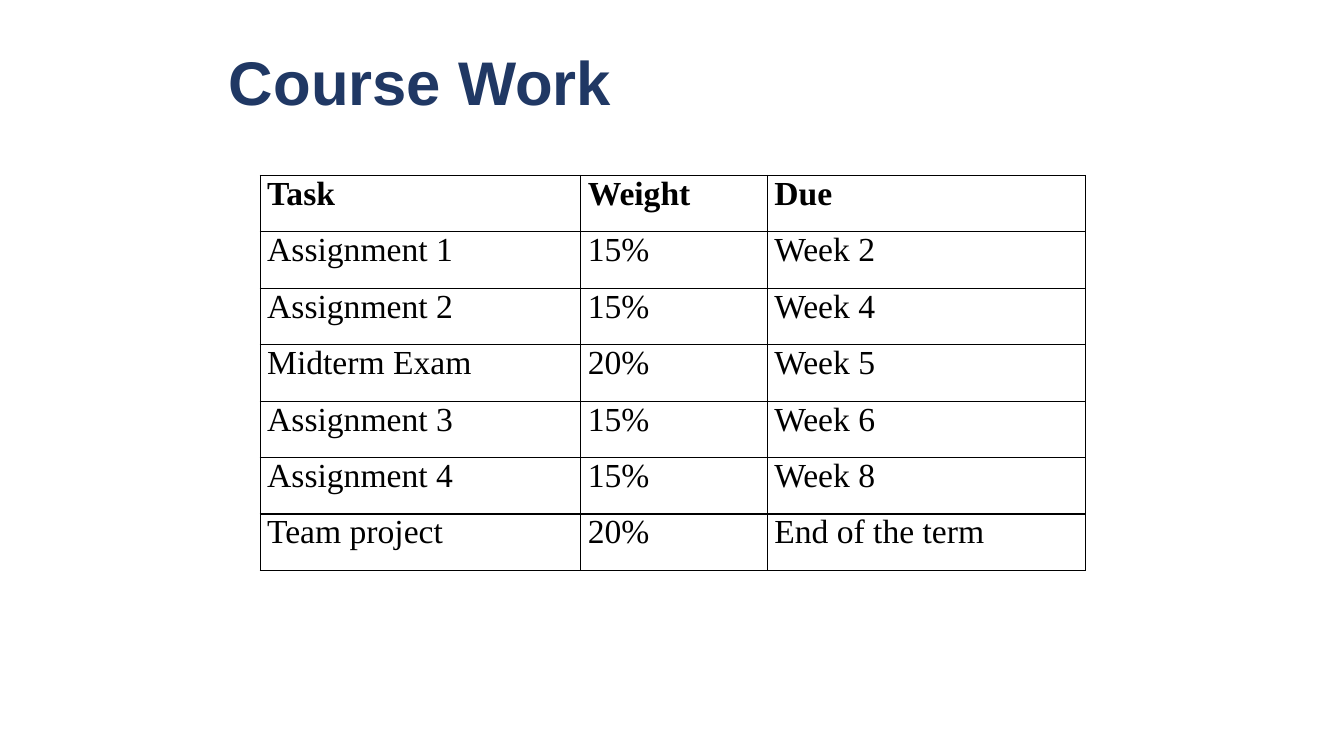
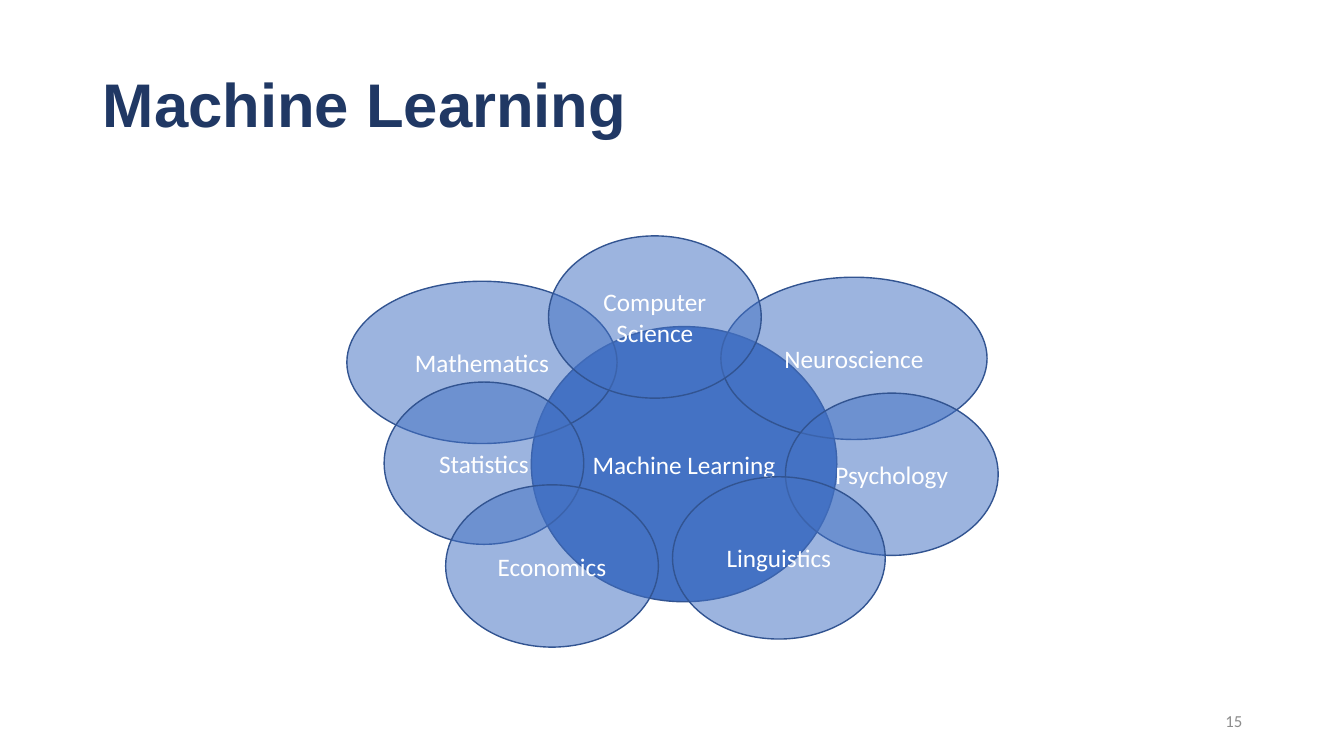
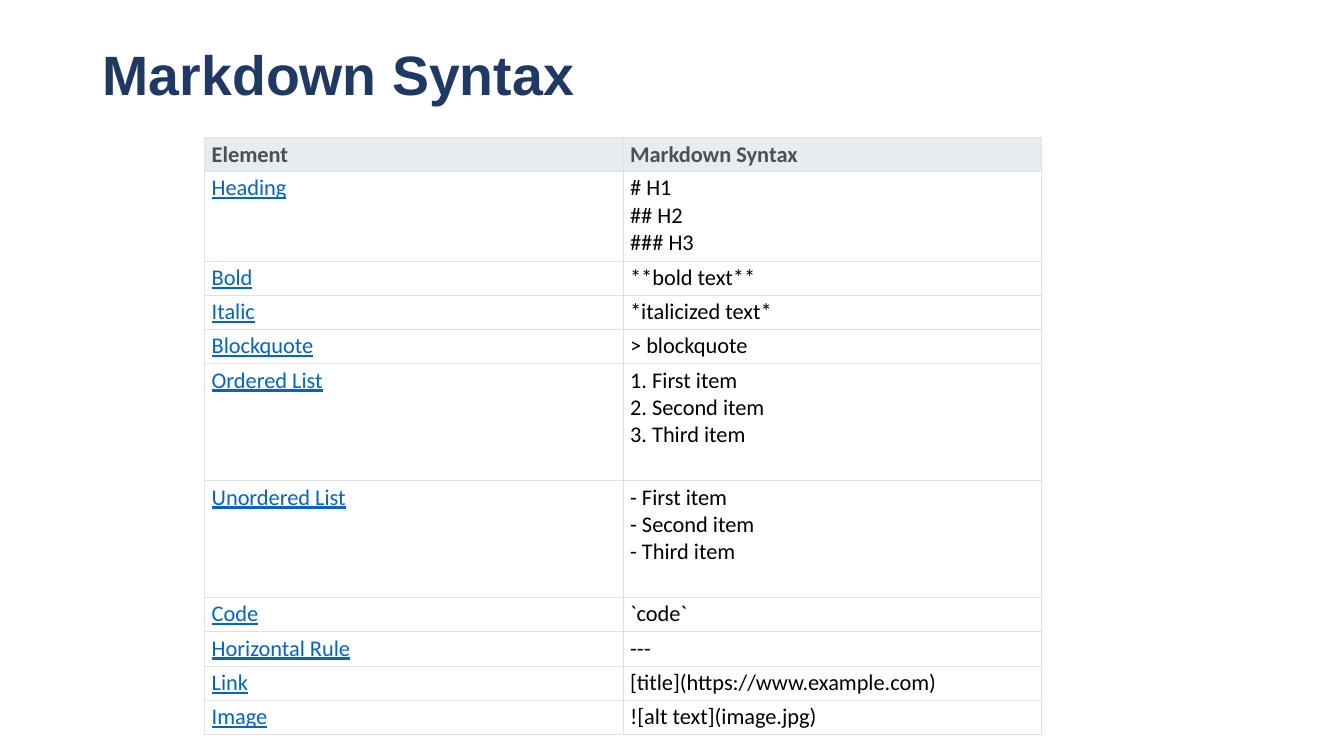
from dataclasses import dataclass

from pptx import Presentation
from pptx.dml.color import RGBColor
from pptx.enum import shapes, text
from pptx.oxml import ns, xmlchemy
from pptx.util import Inches, Pt


@dataclass(frozen=True)
class Theme:
    navy: str = "203864"
    black: str = "000000"
    white: str = "FFFFFF"
    blue: str = "4472C4"
    edge: str = "325491"
    link: str = "0563C1"
    slate: str = "495057"
    pale: str = "E9ECEF"
    rule: str = "DEE2E6"
    gray: str = "8C8C8C"
    head: str = "Arial"
    body: str = "Calibri"
    serif: str = "Times New Roman"
    title: float = 44
    small: float = 39.6
    large: float = 24
    label: float = 18
    cell: float = 16
    note: float = 12


T = Theme()

TASKS = [
    ("Task", "Weight", "Due"),
    ("Assignment 1", "15%", "Week 2"),
    ("Assignment 2", "15%", "Week 4"),
    ("Midterm Exam", "20%", "Week 5"),
    ("Assignment 3", "15%", "Week 6"),
    ("Assignment 4", "15%", "Week 8"),
    ("Team project", "20%", "End of the term"),
]

# Name, left, top, width
FIELDS = [
    ("Mathematics", 3.44, 2.79, 2.68),
    ("Neuroscience", 7.15, 2.75, 2.64),
    ("Psychology", 7.79, 3.9, 2.11),
    ("Statistics", 3.81, 3.79, 1.98),
    ("Economics", 4.42, 4.81, 2.11),
    ("Linguistics", 6.67, 4.73, 2.11),
    ("Computer Science", 5.44, 2.34, 2.11),
]

# A \v is a line break within the paragraph
SYNTAX = [
    ("Element", "Markdown Syntax"),
    ("Heading", "# H1\v## H2\v### H3"),
    ("Bold", "**bold text**"),
    ("Italic", "*italicized text*"),
    ("Blockquote", "> blockquote"),
    ("Ordered List", "1. First item\v2. Second item\v3. Third item"),
    ("Unordered List", "- First item\v- Second item\v- Third item"),
    ("Code", "`code`"),
    ("Horizontal Rule", "---"),
    ("Link", "[title](https://www.example.com)"),
    ("Image", "![alt text](image.jpg)"),
]


# Text and paint
def rgb(code):
    return RGBColor.from_string(code)


def write(frame, words, face, size, color, bold=False, line=False, align=None):
    frame.text = words
    para = frame.paragraphs[0]
    para.alignment = align
    font = para.font
    font.name, font.size, font.bold = face, Pt(size), bold
    font.color.rgb = rgb(color)
    font.underline = line
    return para


def paint(item, color):
    item.fill.solid()
    item.fill.fore_color.rgb = rgb(color)


def fade(shape, share):
    tone = shape.fill._xPr.find(".//" + ns.qn("a:srgbClr"))
    alpha = xmlchemy.OxmlElement("a:alpha")
    alpha.set("val", str(share * 1000))
    tone.append(alpha)


# Slide with a title
def page(deck, words, box, size=T.title):
    slide = deck.slides.add_slide(deck.slide_layouts[5])
    title = slide.shapes.title
    title.left, title.top, title.width, title.height = map(Inches, box)
    frame = title.text_frame
    frame.auto_size = text.MSO_AUTO_SIZE.NONE
    frame.vertical_anchor = text.MSO_ANCHOR.MIDDLE
    para = write(frame, words, T.head, size, T.navy, bold=True,
                 align=text.PP_ALIGN.LEFT)
    para.line_spacing = 0.9
    return slide


# Tables
def border(cell, color, width):
    props = cell._tc.get_or_add_tcPr()
    for spot, side in enumerate(("lnL", "lnR", "lnT", "lnB")):
        edge = xmlchemy.OxmlElement("a:" + side)
        edge.set("w", str(Pt(width)))
        fill = xmlchemy.OxmlElement("a:solidFill")
        tone = xmlchemy.OxmlElement("a:srgbClr")
        tone.set("val", color)
        fill.append(tone)
        edge.append(fill)
        props.insert(spot, edge)


def grid(slide, rows, spot, cols, highs, pad, edge, style):
    """Draw a table; style(row, col) gives the fill, anchor and text format."""
    left, top = spot
    table = slide.shapes.add_table(
        len(rows), len(cols), Inches(left), Inches(top),
        Inches(sum(cols)), Inches(sum(highs))).table
    table.first_row = table.horz_banding = False
    for col, wide in zip(table.columns, cols):
        col.width = Inches(wide)
    for r, (row, high) in enumerate(zip(rows, highs)):
        table.rows[r].height = Inches(high)
        for c, words in enumerate(row):
            cell = table.cell(r, c)
            fill, anchor, look = style(r, c)
            cell.margin_left = cell.margin_right = Inches(0.07)
            cell.margin_top = cell.margin_bottom = Inches(pad)
            cell.vertical_anchor = anchor
            paint(cell, fill)
            border(cell, *edge)
            write(cell.text_frame, words, **look)


def plain(r, c):
    look = dict(face=T.serif, size=T.large, color=T.black, bold=r == 0)
    return T.white, text.MSO_ANCHOR.TOP, look


def linked(r, c):
    look = dict(face=T.body, size=T.cell)
    if r == 0:
        return T.pale, text.MSO_ANCHOR.BOTTOM, dict(look, color=T.slate, bold=True)
    look.update(color=T.black if c else T.link, line=c == 0)
    return T.white, text.MSO_ANCHOR.TOP, look


# Diagram parts
def oval(slide, words, left, top, wide, high=1.61, share=53):
    shape = slide.shapes.add_shape(
        shapes.MSO_SHAPE.OVAL, *map(Inches, (left, top, wide, high)))
    shape.shadow.inherit = False
    paint(shape, T.blue)
    if share < 100:
        fade(shape, share)
    shape.line.color.rgb = rgb(T.edge)
    shape.line.width = Pt(1)
    shape.text_frame.vertical_anchor = text.MSO_ANCHOR.MIDDLE
    write(shape.text_frame, words, T.body, T.label, T.white,
          align=text.PP_ALIGN.CENTER)


def number(slide, words):
    box = slide.shapes.add_textbox(*map(Inches, (9.42, 6.95, 3, 0.4)))
    frame = box.text_frame
    frame.word_wrap = True
    frame.vertical_anchor = text.MSO_ANCHOR.MIDDLE
    write(frame, words, T.body, T.note, T.gray, align=text.PP_ALIGN.RIGHT)


def main():
    deck = Presentation()
    deck.slide_width, deck.slide_height = Inches(13.33), Inches(7.5)

    # Course work
    slide = page(deck, "Course Work", (2.17, 0.22, 9, 1.25))
    grid(slide, TASKS, (2.58, 1.74), (3.18, 1.85, 3.16),
         [0.56] * len(TASKS), 0, (T.black, 1), plain)

    # Machine learning and its neighbours
    slide = page(deck, "Machine Learning", (0.92, 0.4, 10.54, 1.33))
    oval(slide, "Machine Learning", 5.27, 3.24, 3.03, 2.73, share=100)
    for field in FIELDS:
        oval(slide, *field)
    number(slide, "15")

    # Markdown syntax
    slide = page(deck, "Markdown Syntax", (0.92, 0.4, 10.54, 0.73), T.small)
    tall = {"Heading": 0.89, "Ordered List": 1.16, "Unordered List": 1.16}
    highs = [tall.get(name, 0.34) for name, _ in SYNTAX]
    grid(slide, SYNTAX, (2.03, 1.36), (4.15, 4.15), highs, 0.03,
         (T.rule, 0.75), linked)

    deck.save("out.pptx")


if __name__ == "__main__":
    main()
